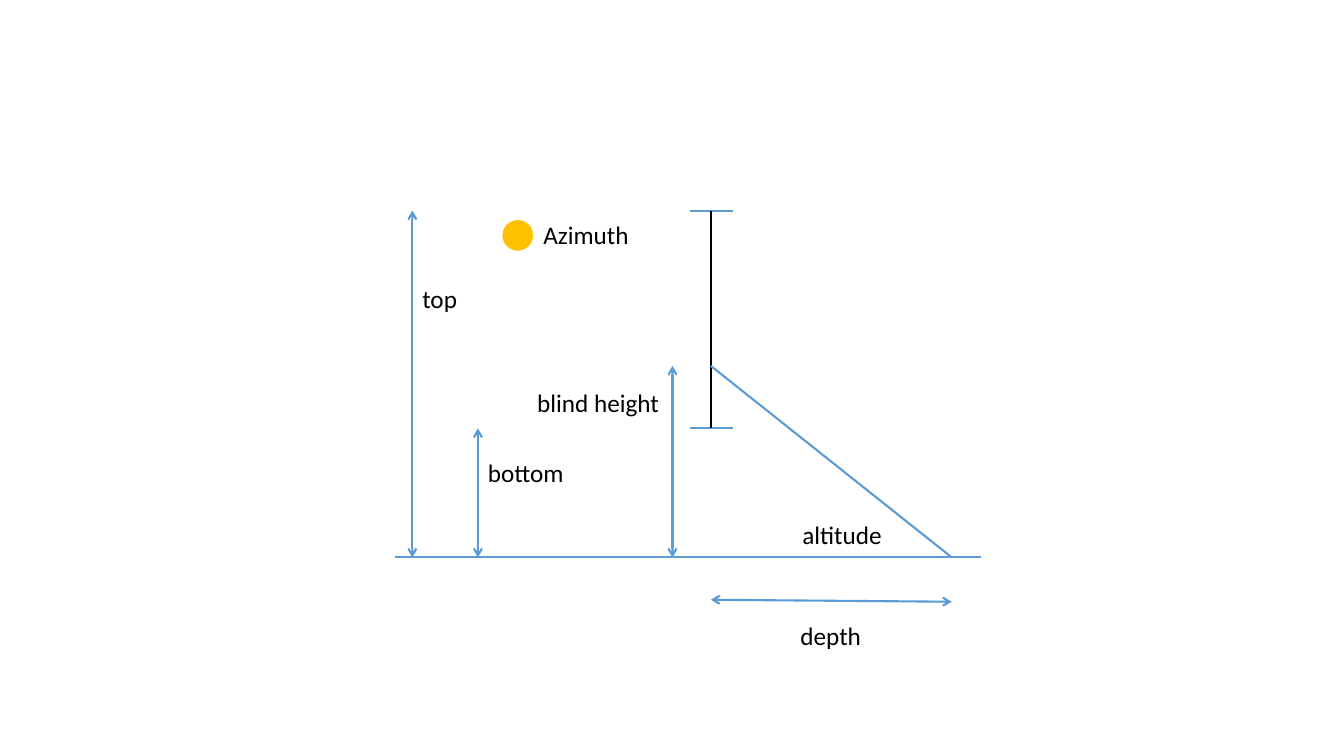
from lxml import etree
from pptx import Presentation
from pptx.dml.color import RGBColor
from pptx.enum.shapes import MSO_CONNECTOR, MSO_SHAPE
from pptx.enum.text import MSO_AUTO_SIZE
from pptx.oxml.ns import qn
from pptx.util import Inches, Pt

STRAIGHT = MSO_CONNECTOR.STRAIGHT
OVAL = MSO_SHAPE.OVAL
FIT_SHAPE = MSO_AUTO_SIZE.SHAPE_TO_FIT_TEXT

BLUE = RGBColor(0x5B, 0x9B, 0xD5)
BLACK = RGBColor(0, 0, 0)
SUN_YELLOW = RGBColor(0xFF, 0xC0, 0x00)

SLIDE_WIDTH, SLIDE_HEIGHT = 13.33, 7.5
LABEL_HEIGHT = 0.4

# Levels of the sketch, from the window head down to the depth measure
WINDOW_TOP, BLIND_EDGE, WINDOW_BOTTOM, FLOOR = 2.09, 3.63, 4.25, 5.53
DEPTH_LEVEL = 5.95
# Positions across the sketch
FLOOR_START, FLOOR_END = 3.92, 9.73
TOP_MEASURE, BOTTOM_MEASURE, BLIND_MEASURE = 4.09, 4.74, 6.67
WINDOW, RAY_END = 7.05, 9.44
SILL_START, SILL_END = 6.84, 7.27


def add_line(slide, start, end, color=BLUE):
    """Draw a straight line between two (x, y) points in inches."""
    line = slide.shapes.add_connector(
        STRAIGHT, *(Inches(value) for value in (*start, *end)))
    line.line.color.rgb = color
    line.line.width = Pt(1.5)
    etree.SubElement(line._element.spPr, qn("a:effectLst"))
    return line


def add_measure(slide, start, end):
    """Draw a dimension line with an open arrowhead at both ends."""
    outline = add_line(slide, start, end).line._get_or_add_ln()
    for tag in ("a:headEnd", "a:tailEnd"):
        etree.SubElement(outline, qn(tag), type="arrow")


def add_label(slide, text, left, top, width):
    """Write a one-line label at a place in inches."""
    label = slide.shapes.add_textbox(
        Inches(left), Inches(top), Inches(width), Inches(LABEL_HEIGHT))
    frame = label.text_frame
    frame.text = text
    frame.word_wrap = False
    frame.auto_size = FIT_SHAPE
    font = frame.paragraphs[0].runs[0].font
    font.name = "Calibri"
    font.size = Pt(18)
    font.color.rgb = BLACK


def add_sun(slide, left, top, diameter):
    """Draw the sun as a filled disc."""
    sun = slide.shapes.add_shape(
        OVAL, Inches(left), Inches(top), Inches(diameter), Inches(diameter))
    sun.shadow.inherit = False
    sun.fill.solid()
    sun.fill.fore_color.rgb = SUN_YELLOW
    sun.line.color.rgb = SUN_YELLOW
    sun.line.width = Pt(1)


def add_window(slide):
    """Draw the floor, the window with its two edges, and the sun ray."""
    add_line(slide, (FLOOR_START, FLOOR), (FLOOR_END, FLOOR))
    for level in (WINDOW_TOP, WINDOW_BOTTOM):
        add_line(slide, (SILL_START, level), (SILL_END, level))
    add_line(slide, (WINDOW, WINDOW_BOTTOM), (WINDOW, WINDOW_TOP), BLACK)
    add_line(slide, (WINDOW, BLIND_EDGE), (RAY_END, FLOOR))


def main():
    """Build the sketch of sunlight entering below a blind."""
    deck = Presentation()
    deck.slide_width = Inches(SLIDE_WIDTH)
    deck.slide_height = Inches(SLIDE_HEIGHT)
    slide = deck.slides.add_slide(deck.slide_layouts[6])

    add_window(slide)
    add_sun(slide, 4.99, 2.19, 0.29)
    for x, level in ((TOP_MEASURE, WINDOW_TOP),
                     (BLIND_MEASURE, BLIND_EDGE),
                     (BOTTOM_MEASURE, WINDOW_BOTTOM)):
        add_measure(slide, (x, level), (x, FLOOR))
    add_measure(slide, (WINDOW, DEPTH_LEVEL), (RAY_END, DEPTH_LEVEL + 0.02))

    for text, left, top, width in (
            ("Azimuth", 5.29, 2.13, 1.06),
            ("altitude", 7.86, 5.1, 1),
            ("depth", 7.84, 6.1, 0.81),
            ("top", TOP_MEASURE, 2.76, 0.55),
            ("blind height", 5.23, 3.79, 1.43),
            ("bottom", BOTTOM_MEASURE, 4.49, 0.97)):
        add_label(slide, text, left, top, width)

    deck.save("out.pptx")


main()
